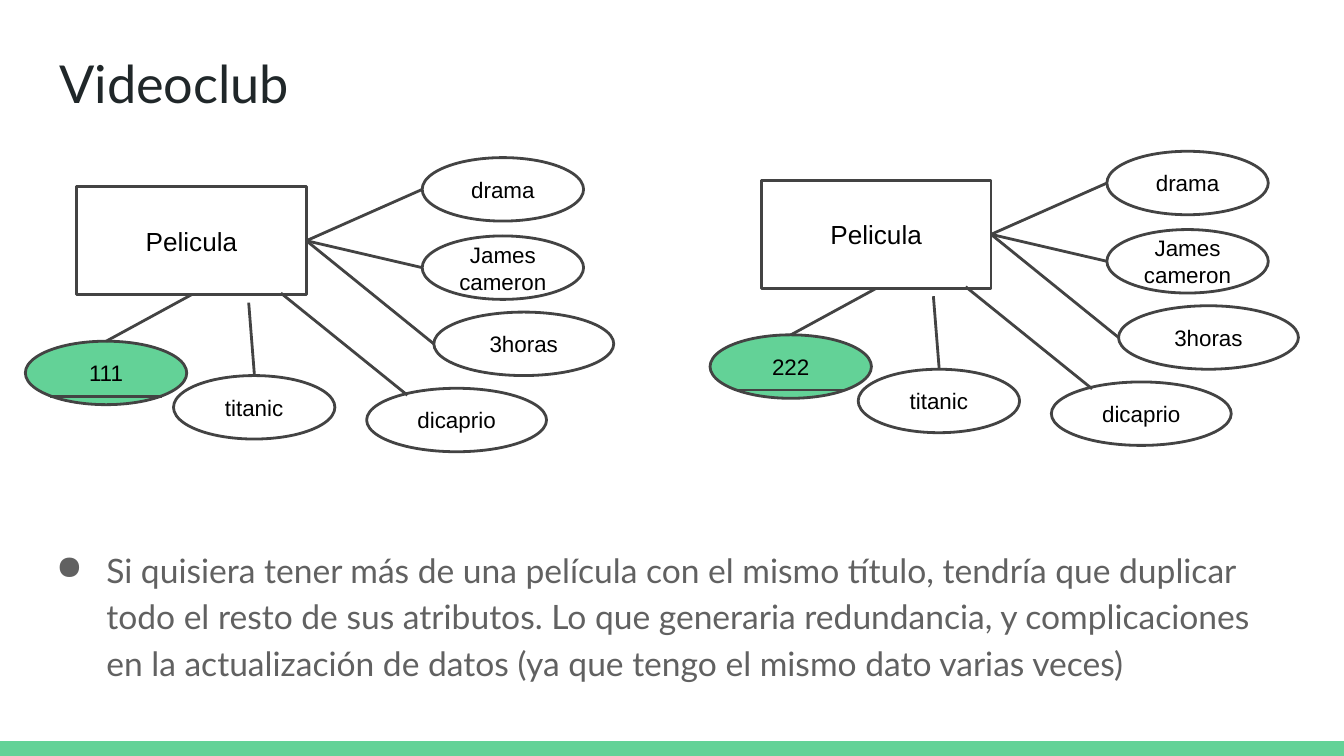
"""Build the Videoclub slide with two entity diagrams that repeat the same attributes."""

from dataclasses import dataclass

from lxml.etree import SubElement
from pptx import Presentation
from pptx.dml.color import RGBColor
from pptx.enum.shapes import MSO_CONNECTOR as Line, MSO_SHAPE as Shape
from pptx.enum.text import MSO_ANCHOR as Anchor, PP_ALIGN as Align
from pptx.oxml.ns import qn
from pptx.util import Cm, Pt


@dataclass(frozen=True)
class Theme:
    green: str = "63D297"
    outline: str = "434343"
    title: str = "202729"
    body: str = "616161"
    label: str = "000000"
    heading_font: str = "Lato"
    label_font: str = "Arial"
    title_size: int = 28
    body_size: int = 18
    entity_size: int = 14
    attribute_size: int = 12
    line_width: float = 1.5


THEME = Theme()
PAGE_WIDTH, PAGE_HEIGHT = 25.4, 14.29
MARGIN = 0.25
TITLE = "Videoclub"
BODY = (
    "Si quisiera tener más de una película con el mismo título, tendría que duplicar "
    "todo el resto de sus atributos. Lo que generaria redundancia, y complicaciones "
    "en la actualización de datos (ya que tengo el mismo dato varias veces)"
)
ENTITY = ("Pelicula", 1.45, 3.53, 4.34, 2.04)
DIAGRAMS = [("111", 0, 0), ("222", 12.94, -0.12)]
SMALL, LARGE, OVAL_HEIGHT = 3.05, 3.4, 1.2
KEY_AT = (0.48, 6.45)
SIDE_ATTRIBUTES = [
    ("drama", 7.98, 2.98, SMALL),
    ("James cameron", 7.98, 4.46, SMALL),
    ("3horas", 8.2, 5.9, LARGE),
]
LOWER_ATTRIBUTES = [("titanic", 3.28, 7.1, SMALL), ("dicaprio", 6.93, 7.34, LARGE)]
LOOSE_LINES = [
    (4.81, 7.1, 4.7, 5.72),
    (5.31, 5.54, 7.7, 7.47),
    (0.94, 7.49, 3.07, 7.49),
]
BOTTOM, RIGHT = 2, 3


def write(shape, text, *, size, color, font=THEME.label_font, align=Align.CENTER,
          anchor=Anchor.MIDDLE, spacing=None, bullet=None):
    frame = shape.text_frame
    frame.word_wrap = True
    frame.vertical_anchor = anchor
    frame.margin_left = frame.margin_right = Cm(MARGIN)
    frame.margin_top = frame.margin_bottom = Cm(MARGIN)
    para = frame.paragraphs[0]
    para.alignment = align
    if spacing:
        para.line_spacing = spacing
    if bullet:
        properties = para._p.get_or_add_pPr()
        properties.set("marL", str(Cm(1.27)))
        properties.set("indent", str(-Cm(0.95)))
        SubElement(properties, qn("a:buChar"), char=bullet)
    span = para.add_run()
    span.text = text
    span.font.name = font
    span.font.size = Pt(size)
    span.font.color.rgb = RGBColor.from_string(color)


def add_box(page, kind, left, top, width, height, fill=None, outlined=True):
    box = page.shapes.add_shape(kind, Cm(left), Cm(top), Cm(width), Cm(height))
    box.shadow.inherit = False
    if fill:
        box.fill.solid()
        box.fill.fore_color.rgb = RGBColor.from_string(fill)
    else:
        box.fill.background()
    if outlined:
        box.line.color.rgb = RGBColor.from_string(THEME.outline)
        box.line.width = Pt(THEME.line_width)
    else:
        box.line.fill.background()
    return box


def add_line(page, *ends):
    line = page.shapes.add_connector(Line.STRAIGHT, *map(Cm, ends))
    line.line.color.rgb = RGBColor.from_string(THEME.outline)
    line.line.width = Pt(THEME.line_width)
    SubElement(line._element.spPr, qn("a:effectLst"))
    return line


def add_attribute(page, text, left, top, width, fill=None):
    oval = add_box(page, Shape.OVAL, left, top, width, OVAL_HEIGHT, fill)
    write(oval, text, size=THEME.attribute_size, color=THEME.label)


def add_diagram(page, key, dx, dy):
    name, left, top, width, height = ENTITY
    left, top = left + dx, top + dy
    entity = add_box(page, Shape.RECTANGLE, left, top, width, height)
    write(entity, name, size=THEME.entity_size, color=THEME.label)

    key_left, key_top = KEY_AT[0] + dx, KEY_AT[1] + dy
    add_attribute(page, key, key_left, key_top, SMALL, THEME.green)
    key_line = add_line(page, key_left + SMALL / 2, key_top, left + width / 2, top + height)
    key_line.end_connect(entity, BOTTOM)

    for text, x, y, oval_width in LOWER_ATTRIBUTES + SIDE_ATTRIBUTES:
        add_attribute(page, text, x + dx, y + dy, oval_width)
    for _, x, y, _ in SIDE_ATTRIBUTES:
        side_line = add_line(page, left + width, top + height / 2,
                             x + dx, y + dy + OVAL_HEIGHT / 2)
        side_line.begin_connect(entity, RIGHT)
    for x1, y1, x2, y2 in LOOSE_LINES:
        add_line(page, x1 + dx, y1 + dy, x2 + dx, y2 + dy)


def main():
    deck = Presentation()
    deck.slide_width, deck.slide_height = Cm(PAGE_WIDTH), Cm(PAGE_HEIGHT)
    page = deck.slides.add_slide(deck.slide_layouts[5])
    bar_height = 0.28
    add_box(page, Shape.RECTANGLE, 0, PAGE_HEIGHT - bar_height, PAGE_WIDTH, bar_height,
            THEME.green, outlined=False)

    title = page.shapes.title
    title.left, title.top, title.width, title.height = map(Cm, (0.87, 0.72, 23.67, 1.6))
    write(title, TITLE, size=THEME.title_size, color=THEME.title,
          font=THEME.heading_font, align=Align.LEFT, anchor=Anchor.TOP)

    for key, dx, dy in DIAGRAMS:
        add_diagram(page, key, dx, dy)

    body = page.shapes.add_textbox(*map(Cm, (0.49, 10.03, 23.67, 4.47)))
    write(body, BODY, size=THEME.body_size, color=THEME.body, font=THEME.heading_font,
          align=Align.LEFT, anchor=Anchor.TOP, spacing=1.15, bullet="●")
    deck.save("out.pptx")


if __name__ == "__main__":
    main()
